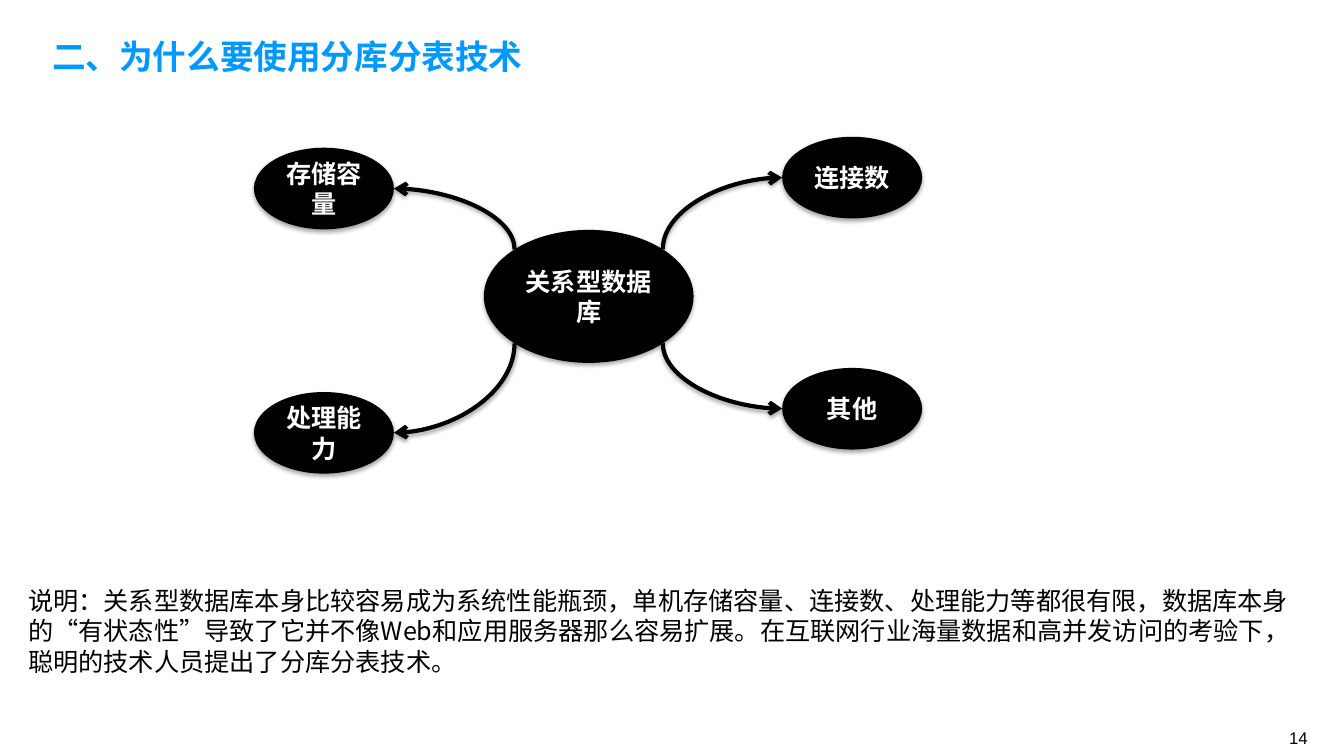
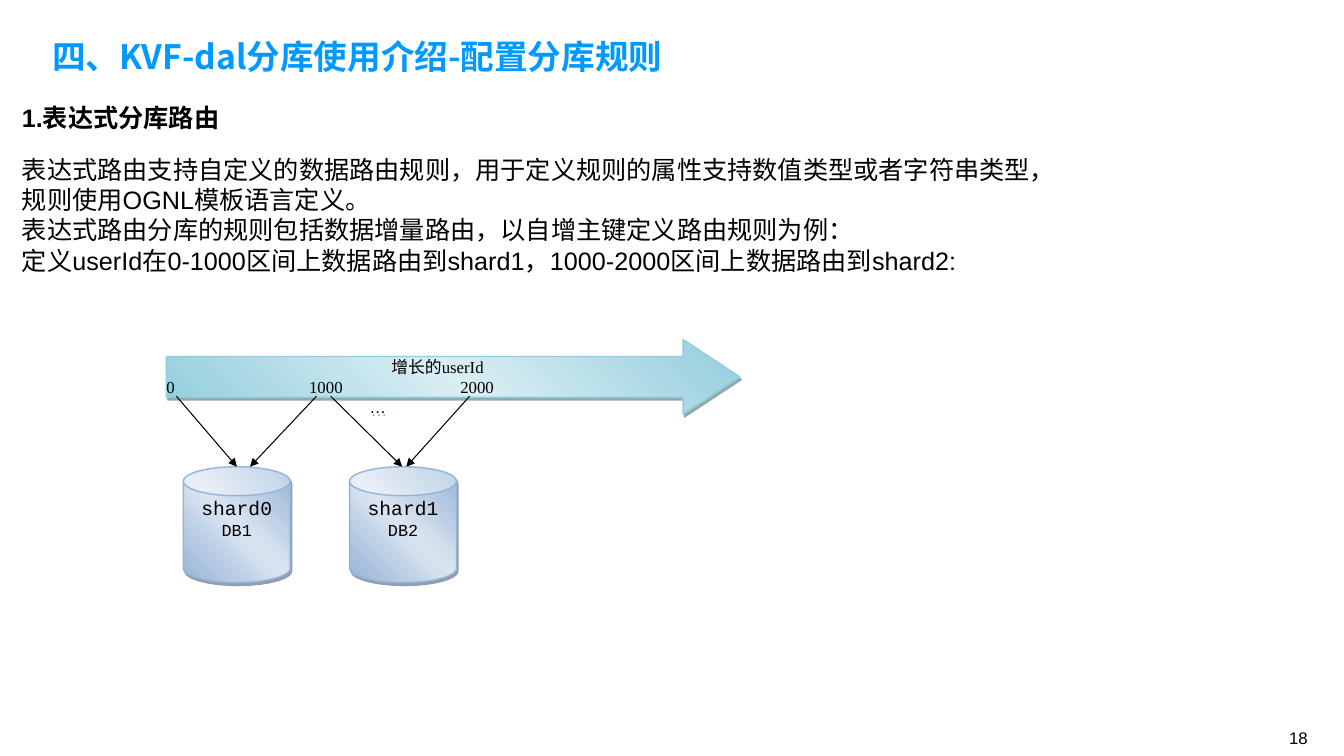
from copy import deepcopy
from math import sqrt

from pptx import Presentation
from pptx.dml.color import RGBColor
from pptx.enum.shapes import MSO_CONNECTOR, MSO_SHAPE
from pptx.enum.text import MSO_ANCHOR, PP_ALIGN
from pptx.oxml.ns import qn
from pptx.oxml.xmlchemy import OxmlElement
from pptx.util import Pt

CURVE, STRAIGHT = MSO_CONNECTOR.CURVE, MSO_CONNECTOR.STRAIGHT
OVAL, ARROW, CAN = MSO_SHAPE.OVAL, MSO_SHAPE.RIGHT_ARROW, MSO_SHAPE.CAN
TOP, MIDDLE = MSO_ANCHOR.TOP, MSO_ANCHOR.MIDDLE
LEFT, CENTER = PP_ALIGN.LEFT, PP_ALIGN.CENTER

BLACK = RGBColor(0x00, 0x00, 0x00)
WHITE = RGBColor(0xFF, 0xFF, 0xFF)
TITLE_BLUE = RGBColor(0x00, 0x99, 0xFF)
TEAL = RGBColor(0x92, 0xCD, 0xDC)
PALE_TEAL = RGBColor(0xDA, 0xEE, 0xF3)
DEEP_TEAL = RGBColor(0x20, 0x58, 0x67)
STEEL = RGBColor(0x95, 0xB3, 0xD7)
PALE_STEEL = RGBColor(0xDB, 0xE5, 0xF1)
DEEP_STEEL = RGBColor(0x24, 0x3F, 0x60)

CJK = "Noto Sans CJK SC"
TITLE = dict(name=CJK, size=Pt(24), bold=True, color=TITLE_BLUE)
NOTE = dict(name=CJK, size=Pt(18), color=BLACK)
BODY = dict(name="Arial", size=Pt(18), color=BLACK)
HEADING = dict(BODY, bold=True)
NODE = dict(HEADING, color=WHITE)
PAGE = dict(BODY, size=Pt(12))
AXIS = dict(name="Times New Roman", size=Pt(12), color=BLACK)
SHARD = dict(name="Courier New", size=Pt(14), color=BLACK)
DATABASE = dict(SHARD, size=Pt(12))

# Shadows: colour, opacity %, blur, distance, direction in degrees
SOFT = (BLACK, 35, 3.15, 1.8, 90)
TEAL_EDGE = (DEEP_TEAL, 50, 0, 2.2, 63)
STEEL_EDGE = (DEEP_STEEL, 50, 0, 2.2, 63)

WHY_TITLE = "二、为什么要使用分库分表技术"
WHY_NOTE = (
    "说明：关系型数据库本身比较容易成为系统性能瓶颈，单机存储容量、连接数、处理能力等都很有限，"
    "数据库本身的“有状态性”导致了它并不像Web和应用服务器那么容易扩展。"
    "在互联网行业海量数据和高并发访问的考验下，聪明的技术人员提出了分库分表技术。"
)
HUB = ("关系型数据库", 345.6, 164.2, 149.8, 95)
LIMIT_SIZE = (100, 58.3)
LIMITS = [
    ("存储容量", 181.4, 105.5),
    ("连接数", 558.7, 97.7),
    ("处理能力", 181.4, 280),
    ("其他", 558.7, 262.8),
]

RULE_TITLE = "四、KVF-dal分库使用介绍-配置分库规则"
RULE_HEADING = "1.表达式分库路由"
RULE_TEXT = [
    "表达式路由支持自定义的数据路由规则，用于定义规则的属性支持数值类型或者字符串类型，",
    "规则使用OGNL模板语言定义。",
    "表达式路由分库的规则包括数据增量路由，以自增主键定义路由规则为例：",
    "定义userId在0-1000区间上数据路由到shard1，1000-2000区间上数据路由到shard2:",
]
AXIS_TITLE = "增长的userId"
AXIS_VALUES = ["0", "1000", "2000"]
AXIS_TABS = [102, 210]
AXIS_MORE_INDENT = 145
# Shard, database, left edge, then start and end x of its two range arrows
SHARDS = [
    ("shard0", "DB1", 131, [(126, 169.2), (226.1, 178.6)]),
    ("shard1", "DB2", 249.8, [(236.2, 287.3), (335.5, 290.2)]),
]
RANGE_TOP, SHARD_TOP = 283, 333.4


def add_xml(parent, tag, **attributes):
    child = OxmlElement(tag)
    for key, value in attributes.items():
        child.set(key, str(value))
    parent.append(child)
    return child


def write(tf, lines, align=LEFT, anchor=TOP, inset=None):
    """Fill a text frame with (text, format) lines, one paragraph each."""
    tf.word_wrap = True
    tf.vertical_anchor = anchor
    if inset is not None:
        for side in ("left", "top", "right", "bottom"):
            setattr(tf, "margin_" + side, Pt(inset))
    for i, (text, style) in enumerate(lines):
        p = tf.paragraphs[0] if i == 0 else tf.add_paragraph()
        p.alignment = align
        r = p.add_run()
        r.text = text
        for key, value in style.items():
            if key == "color":
                r.font.color.rgb = value
            else:
                setattr(r.font, key, value)
        add_xml(r.font._element, "a:ea", typeface=CJK)


def add_text(s, box, lines, **layout):
    write(s.shapes.add_textbox(*map(Pt, box)).text_frame, lines, **layout)


def add_shadow(effects, color, opacity, blur, distance, angle):
    shadow = add_xml(effects, "a:outerShdw", blurRad=int(Pt(blur)), dist=int(Pt(distance)),
                     dir=angle * 60000, rotWithShape=0)
    add_xml(add_xml(shadow, "a:srgbClr", val=color), "a:alpha", val=opacity * 1000)


def add_shape(s, kind, box, shadow, adjustments=()):
    sp = s.shapes.add_shape(kind, *map(Pt, box))
    for i, value in enumerate(adjustments):
        sp.adjustments[i] = value
    sp.shadow.inherit = False
    add_shadow(sp._element.spPr.find(qn("a:effectLst")), *shadow)
    return sp


def add_node(s, text, *box):
    sp = add_shape(s, OVAL, box, SOFT)
    sp.fill.solid()
    sp.fill.fore_color.rgb = BLACK
    sp.line.fill.background()
    write(sp.text_frame, [(text, NODE)], CENTER, MIDDLE)


def add_sheen(sp, edge, middle):
    """Diagonal gradient from edge to middle and back, with an edge-coloured line."""
    sp.fill.gradient()
    sp.fill.gradient_angle = 45
    stops = sp._element.spPr.find(".//" + qn("a:gsLst"))
    stops.append(deepcopy(stops[0]))
    for stop, position, color in zip(sp.fill.gradient_stops, (0, 0.5, 1), (edge, middle, edge)):
        stop.position = position
        stop.color.rgb = color
    sp.line.color.rgb = edge
    sp.line.width = Pt(1)


def add_line(s, kind, start, end, width, head=None, tail=None, shadow=None):
    line = s.shapes.add_connector(kind, *map(Pt, (*start, *end)))
    line.line.color.rgb = BLACK
    line.line.width = Pt(width)
    ln = line.line._get_or_add_ln()
    for tag, tip in (("a:headEnd", head), ("a:tailEnd", tail)):
        if tip:
            add_xml(ln, tag, type=tip)
    effects = add_xml(line._element.spPr, "a:effectLst")
    if shadow:
        add_shadow(effects, *shadow)
    return line


def add_slide(prs, title, page):
    s = prs.slides.add_slide(prs.slide_layouts[6])
    add_text(s, (30.2, 15.8, 607, 48.2), [(title, TITLE)], anchor=MIDDLE)
    add_text(s, (913.7, 516.2, 40, 21.6), [(page, PAGE)])
    return s


def build_why(prs):
    s = add_slide(prs, WHY_TITLE, "14")
    add_text(s, (13, 414.7, 923, 73), [(WHY_NOTE, NOTE)])
    add_node(s, *HUB)
    _, left, top, width, height = HUB
    center_x, center_y = left + width / 2, top + height / 2
    diagonal = sqrt(0.5) / 2
    limit_w, limit_h = LIMIT_SIZE
    for text, x, y in LIMITS:
        add_node(s, text, x, y, limit_w, limit_h)
        side = 1 if x > center_x else -1
        drop = 1 if y > center_y else -1
        outer = (x if side > 0 else x + limit_w, y + limit_h / 2)
        inner = (center_x + side * diagonal * width, center_y + drop * diagonal * height)
        curve = add_line(s, CURVE, outer, inner, 3, head="arrow", shadow=SOFT)
        curve._element.spPr.find(qn("a:prstGeom")).set("prst", "curvedConnector2")


def build_rules(prs):
    s = add_slide(prs, RULE_TITLE, "18")
    add_text(s, (8.6, 69.8, 172, 29), [(RULE_HEADING, HEADING)])
    add_text(s, (8.6, 106.6, 760, 116.6), [(text, BODY) for text in RULE_TEXT])

    arrow = add_shape(s, ARROW, (118.8, 242.6, 409.7, 53.3), TEAL_EDGE, (0.546, 0.76))
    add_sheen(arrow, TEAL, PALE_TEAL)
    tf = arrow.text_frame
    write(tf, [(AXIS_TITLE, AXIS), ("\t".join(AXIS_VALUES), AXIS),
               ("…", dict(AXIS, name="Arial"))], inset=0)
    heading, values, more = tf.paragraphs
    heading.alignment = CENTER
    tabs = add_xml(values._p.get_or_add_pPr(), "a:tabLst")
    for position in AXIS_TABS:
        add_xml(tabs, "a:tab", pos=int(Pt(position)), algn="l")
    more._p.get_or_add_pPr().set("marL", str(int(Pt(AXIS_MORE_INDENT))))

    for shard, database, left, ranges in SHARDS:
        can = add_shape(s, CAN, (left, SHARD_TOP, 76.3, 82.8), STEEL_EDGE, (0.271,))
        add_sheen(can, STEEL, PALE_STEEL)
        write(can.text_frame, [(shard, SHARD), (database, DATABASE)], CENTER, inset=0)
        for start, end in ranges:
            add_line(s, STRAIGHT, (start, RANGE_TOP), (end, SHARD_TOP), 0.75, tail="triangle")


def main():
    prs = Presentation()
    prs.slide_width, prs.slide_height = Pt(960), Pt(540)
    build_why(prs)
    build_rules(prs)
    prs.save("out.pptx")


if __name__ == "__main__":
    main()
